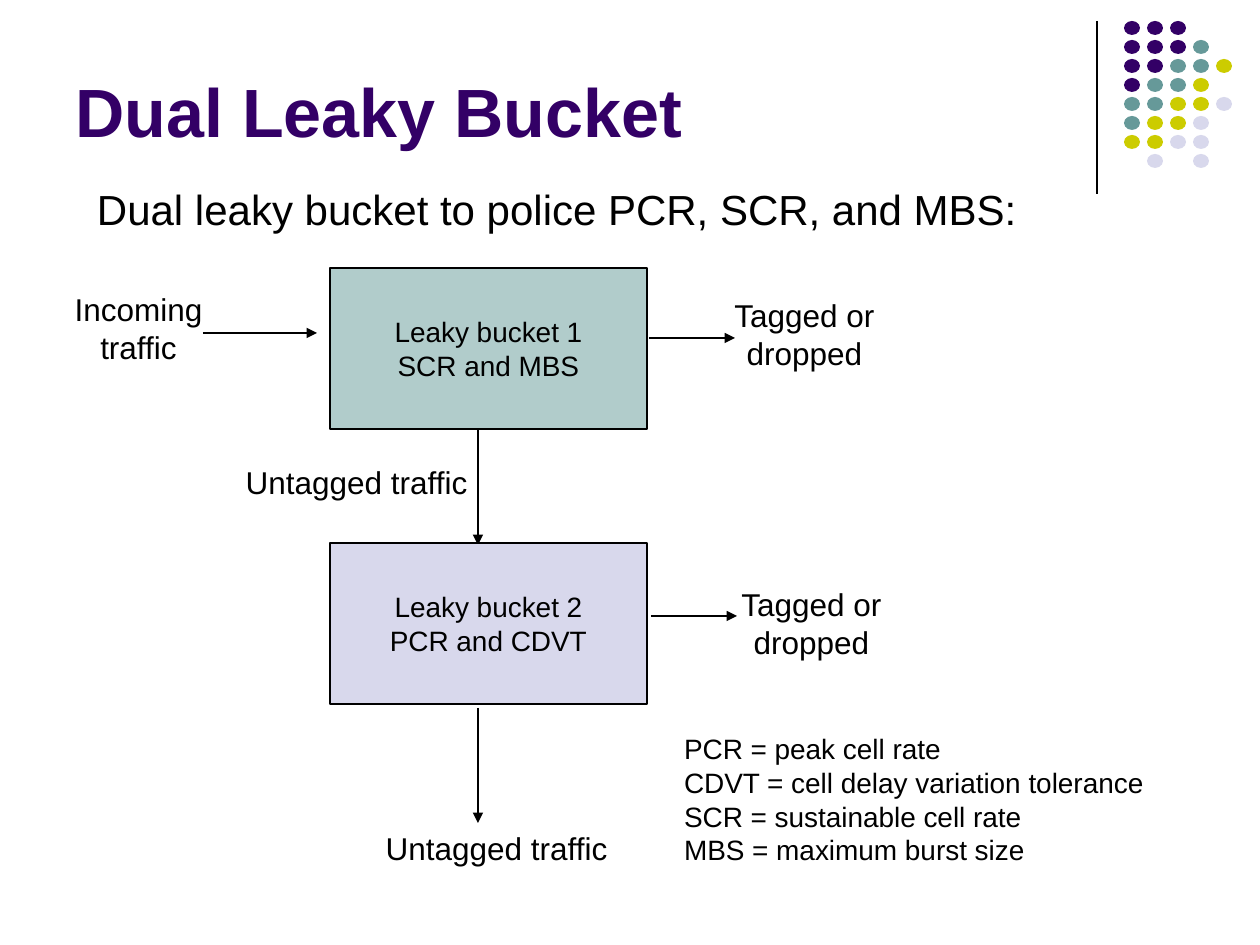
from lxml import etree
from pptx import Presentation
from pptx import util as u
from pptx.dml.color import RGBColor
from pptx.enum import shapes, text
from pptx.oxml.ns import qn

PX_PER_INCH = 126
FONT = "Arial"
COLORS = {
    "ink": "000000",
    "purple": "330066",
    "teal": "669999",
    "olive": "CCCC00",
    "lavender": "D8D8EC",
    "sage": "B1CCCB",
}
DOT_COLORS = {"P": "purple", "T": "teal", "O": "olive", "L": "lavender"}
DOT_ROWS = ["PPP", "PPPT", "PPTTO", "PTTO", "TTOOL", "TOOL", "OOLL", " L L"]


def px(length):
    return u.Emu(round(length * u.Inches(1) / PX_PER_INCH))


def rgb(name):
    return RGBColor.from_string(COLORS[name])


class SlideBuilder:
    def __init__(self, slide):
        self.slide = slide

    def add_lines(self, frame, lines, size, color="ink", bold=False, align="LEFT"):
        """Fill a text frame with one paragraph per line."""
        for index, line in enumerate(lines):
            para = frame.paragraphs[0] if index == 0 else frame.add_paragraph()
            para.alignment = text.PP_ALIGN[align]
            span = para.add_run()
            span.text = line
            span.font.name = FONT
            span.font.size = u.Pt(size)
            span.font.bold = bold
            span.font.color.rgb = rgb(color)

    def title(self, line, left, top, width, height):
        box = self.slide.shapes.title
        box.left, box.top, box.width, box.height = map(px, (left, top, width, height))
        frame = box.text_frame
        frame.auto_size = text.MSO_AUTO_SIZE.NONE
        frame.vertical_anchor = text.MSO_ANCHOR.BOTTOM
        self.add_lines(frame, [line], 39, "purple", bold=True)

    def label(self, lines, left, top, width, height, size=18, align="CENTER", wrap=False):
        box = self.slide.shapes.add_textbox(*map(px, (left, top, width, height)))
        frame = box.text_frame
        frame.margin_left = frame.margin_right = 0
        frame.margin_top = frame.margin_bottom = 0
        frame.word_wrap = wrap
        frame.auto_size = text.MSO_AUTO_SIZE.SHAPE_TO_FIT_TEXT
        self.add_lines(frame, lines, size, align=align)

    def shape(self, kind, left, top, width, height, fill):
        shape = self.slide.shapes.add_shape(kind, *map(px, (left, top, width, height)))
        shape.shadow.inherit = False
        shape.fill.solid()
        shape.fill.fore_color.rgb = rgb(fill)
        shape.line.fill.background()
        return shape

    def dot(self, left, top, fill):
        self.shape(shapes.MSO_SHAPE.OVAL, left, top, 16, 14, fill)

    def bucket(self, lines, left, top, fill):
        box = self.shape(shapes.MSO_SHAPE.RECTANGLE, left, top, 317, 161, fill)
        box.line.color.rgb = rgb("ink")
        box.line.width = u.Pt(0.75)
        frame = box.text_frame
        frame.vertical_anchor = text.MSO_ANCHOR.MIDDLE
        frame.word_wrap = False
        self.add_lines(frame, lines, 16, align="CENTER")

    def line(self, x1, y1, x2, y2, arrow=True):
        line = self.slide.shapes.add_connector(
            shapes.MSO_CONNECTOR.STRAIGHT, *map(px, (x1, y1, x2, y2)))
        line.line.color.rgb = rgb("ink")
        line.line.width = u.Pt(0.75)
        properties = line.element.spPr
        if arrow:
            etree.SubElement(properties.find(qn("a:ln")), qn("a:tailEnd"), type="triangle")
        etree.SubElement(properties, qn("a:effectLst"))


def main():
    deck = Presentation()
    deck.slide_width, deck.slide_height = u.Inches(10), u.Inches(7.5)
    page = SlideBuilder(deck.slides.add_slide(deck.slide_layouts[5]))

    page.line(1097, 21, 1097, 194, arrow=False)
    for row, pattern in enumerate(DOT_ROWS):
        for column, code in enumerate(pattern):
            if code in DOT_COLORS:
                page.dot(1124 + 23 * column, 21 + 19 * row, DOT_COLORS[code])

    page.title("Dual Leaky Bucket", 63, 16, 1040, 141)
    page.label(["Dual leaky bucket to police PCR, SCR, and MBS:"],
               97, 184, 920, 50, size=24, align="LEFT")

    page.label(["Incoming", "traffic"], 74, 290, 129, 76)
    page.label(["Tagged or dropped"], 717, 296, 175, 76, wrap=True)
    page.label(["Tagged or dropped"], 724, 585, 175, 76, wrap=True)
    page.label(["Untagged traffic"], 245, 463, 223, 38)
    page.label(["Untagged traffic"], 385, 829, 223, 38)

    page.line(203, 333, 317, 333)
    page.line(649, 338, 735, 338)
    page.line(651, 616, 737, 616)
    page.line(478, 430, 478, 545)
    page.line(478, 708, 478, 823)

    page.bucket(["Leaky bucket 1", "SCR and MBS"], 330, 268, "sage")
    page.bucket(["Leaky bucket 2", "PCR and CDVT"], 330, 543, "lavender")

    page.label(["PCR = peak cell rate",
                "CDVT = cell delay variation tolerance",
                "SCR = sustainable cell rate",
                "MBS = maximum burst size"],
               684, 732, 460, 135, size=16, align="LEFT")

    deck.save("out.pptx")


if __name__ == "__main__":
    main()
